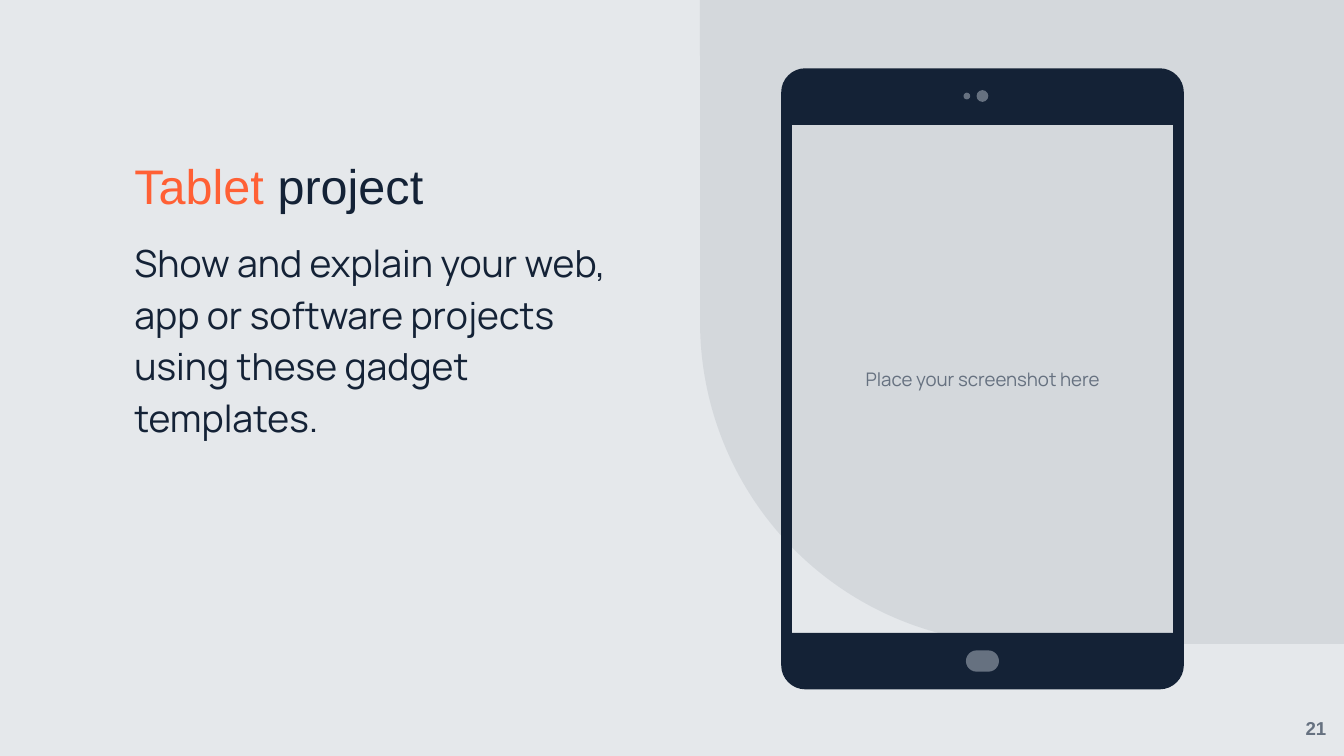
import math

import pptx
import pptx.dml.color
import pptx.enum.shapes
import pptx.enum.text
import pptx.oxml.ns
import pptx.util
from lxml import etree

RGB = pptx.dml.color.RGBColor
PAPER = RGB(0xE5, 0xE8, 0xEB)
NAVY = RGB(0x14, 0x22, 0x36)
GREY = RGB(0x66, 0x71, 0x80)
ORANGE = RGB(0xFF, 0x60, 0x35)

KIND = pptx.enum.shapes.MSO_SHAPE
ALIGN = pptx.enum.text.PP_ALIGN
ANCHOR = pptx.enum.text.MSO_ANCHOR

# Grid of 240 columns by 135 rows, 24 to the inch
COLS, ROWS = 240, 135
UNIT = pptx.util.Inches(1) / 24


def grid(*cells):
    return [pptx.util.Emu(round(cell * UNIT)) for cell in cells]


def paint(shape, color, alpha=None):
    shape.shadow.inherit = False
    shape.line.fill.background()
    shape.fill.solid()
    shape.fill.fore_color.rgb = color
    if alpha:
        tint = shape.fill._xPr.find(".//" + pptx.oxml.ns.qn("a:srgbClr"))
        etree.SubElement(tint, pptx.oxml.ns.qn("a:alpha"), val=str(alpha * 1000))


def solid(slide, kind, box, color, round_by=None, alpha=None):
    shape = slide.shapes.add_shape(kind, *grid(*box))
    if round_by is not None:
        shape.adjustments[0] = round_by
    paint(shape, color, alpha)
    return shape


def write(slide, box, runs, font, para, anchor=ANCHOR.TOP):
    """Add one paragraph; runs are (text, color) pairs."""
    frame = slide.shapes.add_textbox(*grid(*box)).text_frame
    layout = {"word_wrap": True, "vertical_anchor": anchor, "margin_left": 0,
              "margin_right": 0, "margin_top": 0, "margin_bottom": 0}
    line = frame.paragraphs[0]
    pairs = [(frame, layout), (line, para)]
    for text, color in runs:
        run = line.add_run()
        run.text = text
        run.font.color.rgb = color
        pairs.append((run.font, font))
    for target, values in pairs:
        for name, value in values.items():
            setattr(target, name, value)


def arc_box(x, y, w, h, r, steps=8):
    """Points of a box with round corners, clockwise from the top left."""
    hubs = [(x + r, y + r), (x + w - r, y + r),
            (x + w - r, y + h - r), (x + r, y + h - r)]
    points = []
    for turn, (mid_x, mid_y) in enumerate(hubs):
        for step in range(steps + 1):
            angle = math.pi * (1 + (turn + step / steps) / 2)
            points.append(grid(mid_x + r * math.cos(angle),
                               mid_y + r * math.sin(angle)))
    return points


def backdrop(slide, box):
    slide.background.fill.solid()
    slide.background.fill.fore_color.rgb = PAPER
    panel = solid(slide, KIND.ROUND_1_RECTANGLE, box, NAVY, 0.5, alpha=8)
    panel.rotation = 180


def page_mark(slide, box, number):
    tab = solid(slide, KIND.ROUND_1_RECTANGLE, box, PAPER, 0.5)
    tab._element.spPr.find(pptx.oxml.ns.qn("a:xfrm")).set("flipH", "1")
    write(slide, box, [(number, GREY)],
          {"name": "Arial", "size": pptx.util.Pt(10), "bold": True},
          {"alignment": ALIGN.CENTER}, ANCHOR.MIDDLE)


def tablet(slide, box, hint):
    x, y, w, h = box
    side, band = 1.9, 10.1
    view = (x + side, y + band, w - 2 * side, h - 2 * band)
    write(slide, view, [(hint, GREY)],
          {"name": "Manrope", "size": pptx.util.Pt(10)},
          {"alignment": ALIGN.CENTER}, ANCHOR.MIDDLE)

    # Case with the screen cut out
    left, top, wide, high = view
    hole = [grid(left + wide, top), grid(left + wide, top + high),
            grid(left, top + high), grid(left, top)]
    case = arc_box(*box, r=4.3)
    pen = slide.shapes.build_freeform(*case[0])
    pen.add_line_segments(case[1:], close=True)
    pen.move_to(*hole[0])
    pen.add_line_segments(hole[:0:-1], close=True)
    paint(pen.convert_to_shape(), NAVY)

    # Home button, sensor and camera, given by centre and size
    mid = x + w / 2
    parts = [(KIND.ROUNDED_RECTANGLE, mid, y + h - band / 2, 5.9, 3.8, 0.5),
             (KIND.OVAL, mid - 2.8, y + band / 2 - 0.1, 1.2, 1.2, None),
             (KIND.OVAL, mid, y + band / 2 - 0.1, 2.1, 2.1, None)]
    for kind, hub_x, hub_y, wide, high, curve in parts:
        solid(slide, kind, (hub_x - wide / 2, hub_y - high / 2, wide, high),
              GREY, curve)


def story(slide, box, title, body):
    x, y, w, h = box
    head, gap = 16.6, 3.3
    write(slide, (x, y, w, head), title,
          {"name": "Arial", "size": pptx.util.Pt(26)},
          {"line_spacing": 0.9}, ANCHOR.BOTTOM)
    write(slide, (x, y + head + gap, w, h - head - gap), [(body, NAVY)],
          {"name": "Manrope", "size": pptx.util.Pt(20)},
          {"line_spacing": 1.15, "space_before": pptx.util.Pt(6)})


def main():
    deck = pptx.Presentation()
    deck.slide_width, deck.slide_height = grid(COLS, ROWS)
    slide = deck.slides.add_slide(deck.slide_layouts[6])

    backdrop(slide, (COLS - 115, 0, 115, 115))
    page_mark(slide, (COLS - 10, ROWS - 10, 10, 10), "21")
    tablet(slide, (139.5, 12.2, 71.9, 110.9), "Place your screenshot here")
    story(slide, (24, 21.8, 91, 93),
          [("Tablet", ORANGE), (" project", NAVY)],
          "Show and explain your web, app or software projects "
          "using these gadget templates.")
    deck.save("out.pptx")


if __name__ == "__main__":
    main()
